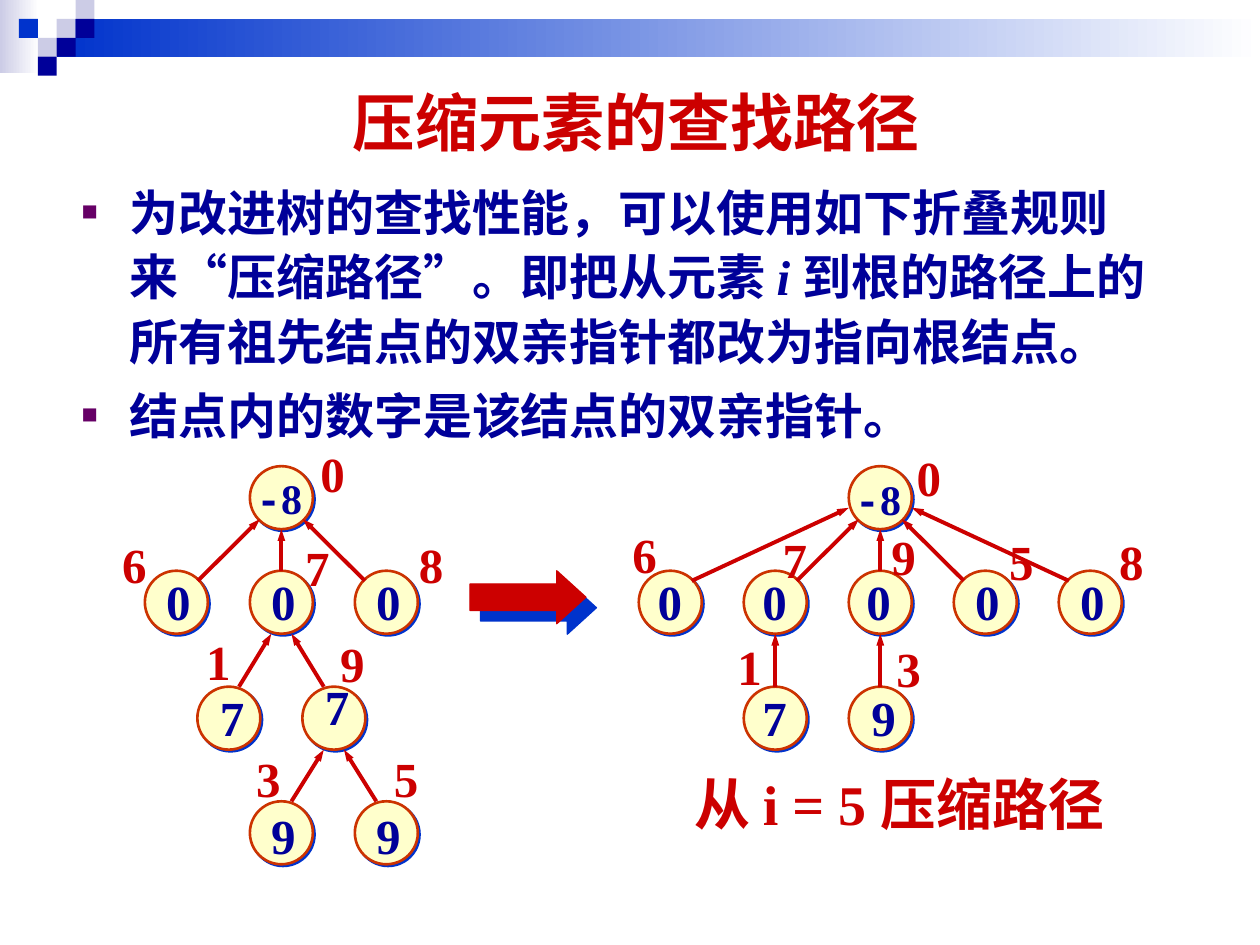
from dataclasses import dataclass
from typing import NamedTuple

from lxml.etree import SubElement
from pptx import Presentation
from pptx.dml.color import RGBColor
from pptx.enum.shapes import MSO_CONNECTOR, MSO_SHAPE
from pptx.enum.text import MSO_ANCHOR, MSO_AUTO_SIZE, PP_ALIGN
from pptx.oxml.ns import qn
from pptx.util import Emu, Inches, Pt

RED = RGBColor(0xCC, 0x00, 0x00)
NAVY = RGBColor(0x00, 0x00, 0x99)
BLUE = RGBColor(0x00, 0x33, 0xCC)
LAVENDER = RGBColor(0xCC, 0xCC, 0xE6)
WHITE = RGBColor(0xFF, 0xFF, 0xFF)
CREAM = RGBColor(0xFF, 0xFF, 0xCC)
RUST = RGBColor(0xCC, 0x33, 0x00)
PURPLE = RGBColor(0x66, 0x00, 0x66)
SERIF = "Times New Roman"

deck = Presentation()
deck.slide_width, deck.slide_height = Inches(10), Inches(7.5)
page = deck.slides.add_slide(deck.slide_layouts[6])

# The page is a square grid, 10 columns wide and 7.5 rows high
UNIT = deck.slide_width / 10
TILE = 0.15
NODE_SIZE = 0.5
NODE_PITCH = 5 / 6
LEVELS = (3.7, 4.53, 5.45, 6.36)
DIGIT_BOX = (0.39, 0.57)
SIGNED_BOX = (0.65, 0.5)


class Offset(NamedTuple):
    x: float
    y: float


class Span(NamedTuple):
    text: str
    font: str = SERIF
    italic: bool = False


class Link(NamedTuple):
    """Arrow ends, measured from the corners of child and parent."""
    start: Offset
    end: Offset


def mirrored(link: Link) -> Link:
    return Link(*(Offset(NODE_SIZE - point.x, point.y) for point in link))


UP = Link(Offset(0.25, 0), Offset(0.25, 0.5))
STEEP = Link(Offset(0.33, 0), Offset(0.17, 0.5))
DIAGONAL = Link(Offset(0.42, 0.08), Offset(0.08, 0.42))
FLAT = Link(Offset(0.42, 0.08), Offset(0, 0.33))


@dataclass(frozen=True)
class Node:
    column: float
    level: int
    value: str
    tag: str
    tag_shift: Offset
    parent: str = ""
    link: Link = UP
    value_shift: Offset = Offset(0.07, -0.04)


@dataclass(frozen=True)
class Tree:
    left: float
    nodes: tuple[Node, ...]

    def corner(self, node: Node) -> Offset:
        return Offset(self.left + node.column * NODE_PITCH, LEVELS[node.level])


BEFORE = Tree(1.15, (
    Node(1, 0, "-8", "0", Offset(0.46, -0.23), value_shift=Offset(-0.05, 0)),
    Node(0, 1, "0", "6", Offset(-0.28, -0.34), "0", DIAGONAL),
    Node(1, 1, "0", "7", Offset(0.34, -0.31), "0"),
    Node(2, 1, "0", "8", Offset(0.41, -0.34), "0", mirrored(DIAGONAL)),
    Node(0.5, 2, "7", "1", Offset(-0.03, -0.49), "7", STEEP, Offset(0.08, -0.04)),
    Node(1.5, 2, "7", "9", Offset(0.2, -0.47), "7", mirrored(STEEP), Offset(0.08, -0.13)),
    Node(1, 3, "9", "3", Offset(-0.05, -0.47), "9", STEEP, Offset(0.07, -0.02)),
    Node(2, 3, "9", "5", Offset(0.21, -0.47), "9", mirrored(STEEP), Offset(0.07, -0.02)),
))
AFTER = Tree(5.07, (
    Node(2, 0, "-8", "0", Offset(0.44, -0.2), value_shift=Offset(-0.05, 0.01)),
    Node(0, 1, "0", "6", Offset(-0.15, -0.42), "0", FLAT, Offset(0.05, -0.04)),
    Node(1, 1, "0", "7", Offset(0.21, -0.38), "0", DIAGONAL, Offset(0.05, -0.04)),
    Node(2, 1, "0", "9", Offset(0.24, -0.4), "0", value_shift=Offset(0.04, -0.04)),
    Node(3, 1, "0", "5", Offset(0.34, -0.36), "0", mirrored(DIAGONAL)),
    Node(4, 1, "0", "8", Offset(0.38, -0.36), "0", mirrored(FLAT)),
    Node(1, 2, "7", "1", Offset(-0.15, -0.45), "7", value_shift=Offset(0.05, -0.04)),
    Node(2, 2, "9", "3", Offset(0.28, -0.43), "9", value_shift=Offset(0.08, -0.04)),
))


def grid(*lengths: float) -> list[Emu]:
    return [Emu(round(length * UNIT)) for length in lengths]


def add_figure(kind, place: tuple, fill: RGBColor, line: RGBColor | None = None,
               line_width: float = 0, shadow_distance: float = 0):
    shape = page.shapes.add_shape(kind, *grid(*place))
    shape.shadow.inherit = False
    shape.fill.solid()
    shape.fill.fore_color.rgb = fill
    if line is None:
        shape.line.fill.background()
    else:
        shape.line.color.rgb = line
        shape.line.width = Pt(line_width)
    if shadow_distance:
        effects = shape._element.spPr.find(qn("a:effectLst"))
        shadow = SubElement(effects, qn("a:outerShdw"), dist=str(Pt(shadow_distance)),
                            dir="2700000", algn="ctr", rotWithShape="0")
        SubElement(shadow, qn("a:srgbClr"), val=str(BLUE))
    return shape


def add_fade(place: tuple, color: RGBColor) -> None:
    fill = add_figure(MSO_SHAPE.RECTANGLE, place, color).fill
    fill.gradient()
    fill.gradient_angle = 0
    for stop, shade, position in zip(fill.gradient_stops, (color, WHITE), (0, 1)):
        stop.color.rgb = shade
        stop.position = position


def add_arrow(start: Offset, end: Offset) -> None:
    arrow = page.shapes.add_connector(MSO_CONNECTOR.STRAIGHT, *grid(*start, *end))
    arrow.line.color.rgb = RED
    arrow.line.width = Pt(2.25)
    SubElement(arrow.line._get_or_add_ln(), qn("a:tailEnd"), type="triangle", w="sm", len="med")
    SubElement(arrow._element.spPr, qn("a:effectLst"))


def fill_paragraph(paragraph, spans: tuple[Span, ...], size: float, color: RGBColor) -> None:
    for span in spans:
        run = paragraph.add_run()
        run.text = span.text
        run.font.name, run.font.size, run.font.bold = span.font, Pt(size), True
        run.font.italic = span.italic
        run.font.color.rgb = color


def add_box(place: tuple, wrap: bool = False):
    frame = page.shapes.add_textbox(*grid(*place)).text_frame
    frame.word_wrap = wrap
    frame.auto_size = MSO_AUTO_SIZE.NONE if wrap else MSO_AUTO_SIZE.SHAPE_TO_FIT_TEXT
    return frame


def add_label(place: tuple, spans: tuple[Span, ...], size: float, color: RGBColor):
    frame = add_box(place)
    fill_paragraph(frame.paragraphs[0], spans, size, color)
    return frame


def add_bullet(paragraph) -> None:
    properties = paragraph._p.get_or_add_pPr()
    indent = Inches(0.38)
    properties.set("marL", str(indent))
    properties.set("indent", str(-indent))
    SubElement(SubElement(properties, qn("a:buClr")), qn("a:srgbClr"), val=str(PURPLE))
    SubElement(properties, qn("a:buSzPct"), val="55000")
    SubElement(properties, qn("a:buFont"), typeface="Arial")
    SubElement(properties, qn("a:buChar"), char="■")


def draw_tree(tree: Tree) -> None:
    corners = {node.tag: tree.corner(node) for node in tree.nodes}
    for node in tree.nodes:
        add_figure(MSO_SHAPE.OVAL, (*corners[node.tag], NODE_SIZE, NODE_SIZE),
                   CREAM, RUST, 1.5, 1.4)
    for node in tree.nodes:
        x, y = corners[node.tag]
        if node.parent:
            parent = corners[node.parent]
            add_arrow(Offset(x + node.link.start.x, y + node.link.start.y),
                      Offset(parent.x + node.link.end.x, parent.y + node.link.end.y))
        add_label((x + node.tag_shift.x, y + node.tag_shift.y, *DIGIT_BOX),
                  (Span(node.tag),), 28, RED)
        value_place = (x + node.value_shift.x, y + node.value_shift.y)
        if node.parent:
            add_label((*value_place, *DIGIT_BOX), (Span(node.value),), 28, NAVY)
        else:
            sign, digit = node.value
            label = add_label((*value_place, *SIGNED_BOX),
                              (Span(sign, "Courier New"), Span(digit)), 24, NAVY)
            # A fixed width keeps the sign and its digit on one line
            label.auto_size = MSO_AUTO_SIZE.NONE
            label.word_wrap = True


# Header band and mosaic
add_fade((0, 0, 0.31, 0.58), LAVENDER)
add_fade((0.45, TILE, 9.55, 2 * TILE), BLUE)
for column, row, color in ((3, 1, LAVENDER), (4, 0, LAVENDER), (4, 1, NAVY), (2, 2, LAVENDER),
                           (1, 1, BLUE), (3, 2, NAVY), (2, 3, NAVY)):
    add_figure(MSO_SHAPE.RECTANGLE, (column * TILE, row * TILE, TILE, TILE), color)

# Title
title = add_box((0.55, 0.48, 9, 0.97), wrap=True)
title.vertical_anchor = MSO_ANCHOR.MIDDLE
title.paragraphs[0].alignment = PP_ALIGN.CENTER
fill_paragraph(title.paragraphs[0], (Span("压缩元素的查找路径", "Arial"),), 36, RED)

# Explanation
body = add_box((0.55, 1.35, 9, 5.2), wrap=True)
rules = (
    (Span("为改进树的查找性能，可以使用如下折叠规则来“压缩路径”。即把从元素 "),
     Span("i ", italic=True), Span("到根的路径上的所有祖先结点的双亲指针都改为指向根结点。")),
    (Span("结点内的数字是该结点的双亲指针。"),),
)
for index, spans in enumerate(rules):
    paragraph = body.add_paragraph() if index else body.paragraphs[0]
    add_bullet(paragraph)
    paragraph.line_spacing = 1.1
    if index:
        paragraph.space_before = Pt(5.2)
    fill_paragraph(paragraph, spans, 28, NAVY)

# Trees before and after compression
draw_tree(BEFORE)
block_arrow = add_figure(MSO_SHAPE.RIGHT_ARROW, (3.73, 4.53, 0.92, 0.42), RED, RED, 0.75, 8.5)
block_arrow.adjustments[1] = 0.55
draw_tree(AFTER)
add_label((5.41, 6.06, 3.79, 0.64), (Span("从 i = 5 压缩路径"),), 32, RED)

deck.save("out.pptx")
